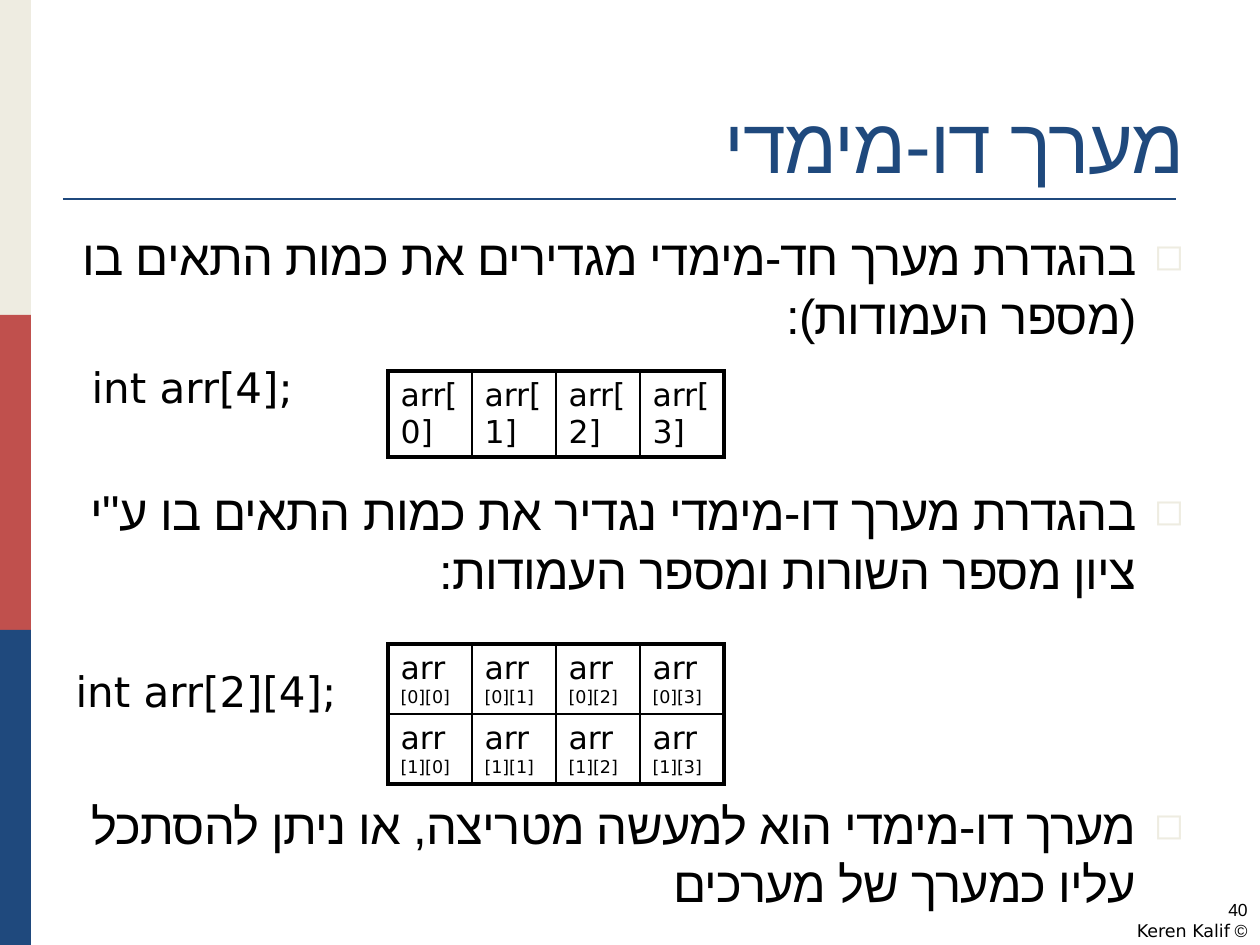
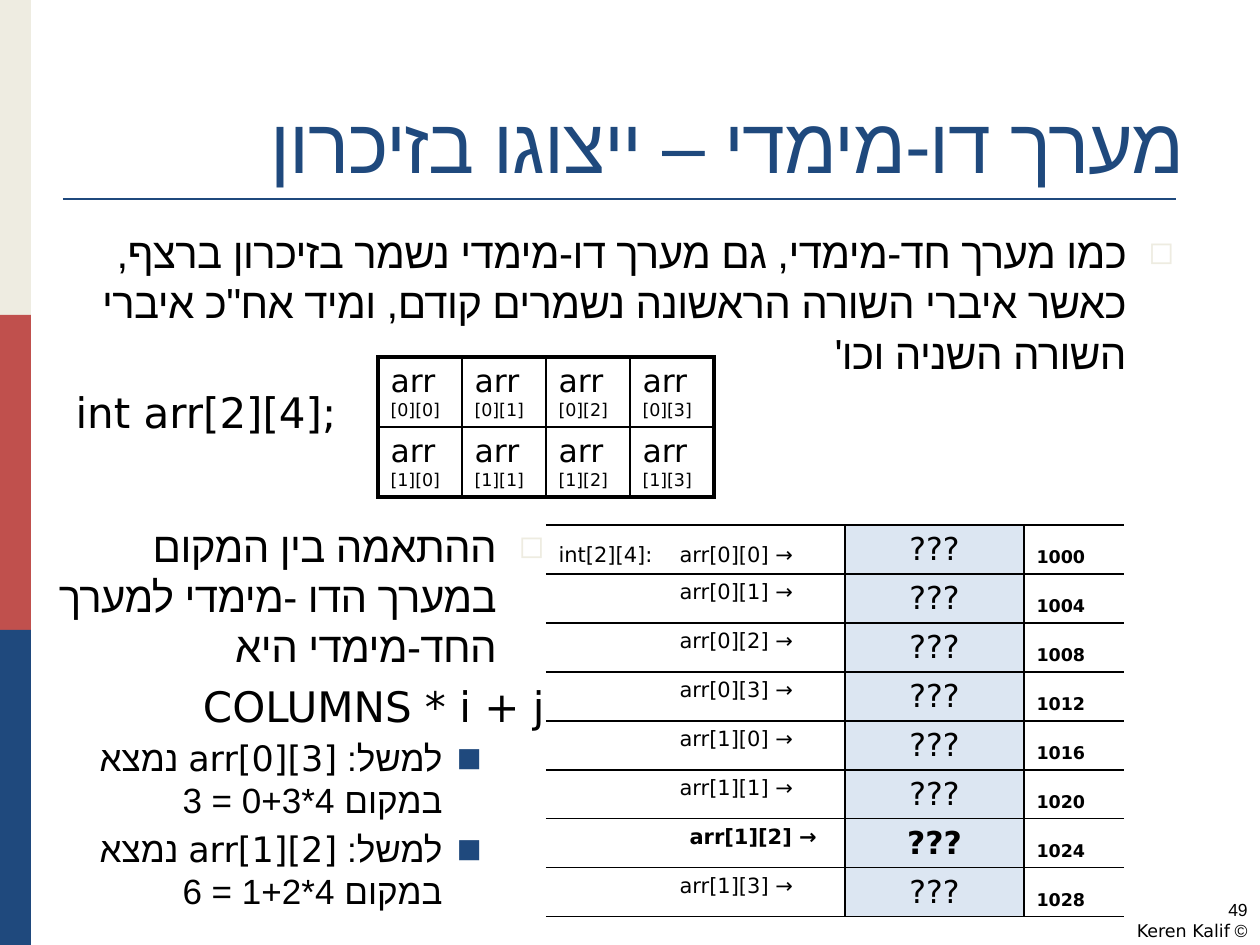
from lxml.etree import SubElement
from pptx import Presentation
from pptx.dml.color import RGBColor
from pptx.enum.shapes import MSO_CONNECTOR, MSO_SHAPE
from pptx.enum.text import MSO_ANCHOR, MSO_AUTO_SIZE, PP_ALIGN
from pptx.oxml.ns import qn
from pptx.util import Pt

PX = 914400 // 126
CREAM, RED, NAVY = "EEECE1", "C0504D", "1F497D"
BLACK, PALE_BLUE = "000000", "DCE6F2"
SANS, SERIF, HEBREW = "DejaVu Sans", "Times New Roman", "Arial"
THICK, THIN = 2.25, 1
hex_color = RGBColor.from_string


def write(paragraph, text, size, rtl=False, bullet=None, hang=None, before=None,
          color=BLACK, font=SANS, bold=False):
    properties = paragraph._p.get_or_add_pPr()
    if rtl:
        properties.set("rtl", "1")
        paragraph.alignment = PP_ALIGN.RIGHT
    if hang:
        margin, indent = hang
        properties.set("marL", str(margin * PX))
        properties.set("indent", str(indent * PX))
        if bullet:
            mark, mark_color = bullet
            SubElement(SubElement(properties, qn("a:buClr")), qn("a:srgbClr"), val=mark_color)
            SubElement(properties, qn("a:buSzPct"), val="75000")
            SubElement(properties, qn("a:buFont"), typeface=SANS)
            SubElement(properties, qn("a:buChar"), char=mark)
        else:
            SubElement(properties, qn("a:buNone"))
        paragraph.line_spacing = Pt(size * 1.2)
    if before:
        paragraph.space_before = Pt(before)
    run = paragraph.add_run()
    run.text = text
    paragraph.font.size = Pt(size)
    paragraph.font.bold = bold
    paragraph.font.name = font
    paragraph.font.color.rgb = hex_color(color)
    SubElement(properties.find(qn("a:defRPr")), qn("a:cs"), typeface=HEBREW)
    if rtl and size >= 24 and not text.isascii():
        run._r.get_or_add_rPr().set("spc", str(round(size * -1.5)))


def draw_borders(cell, left, right, top, bottom):
    cell_properties = cell._tc.get_or_add_tcPr()
    for position, (side, width) in enumerate(
            [("lnL", left), ("lnR", right), ("lnT", top), ("lnB", bottom)]):
        edge = cell_properties.makeelement(qn(f"a:{side}"), {"w": str(Pt(width))})
        if width:
            SubElement(SubElement(edge, qn("a:solidFill")), qn("a:srgbClr"), val=BLACK)
        else:
            SubElement(edge, qn("a:noFill"))
        cell_properties.insert(position, edge)


SQUARE, BLOCK = ("◻", CREAM), ("■", NAVY)
FIRST_LEVEL, SECOND_LEVEL, CODE_INSET = (48, -48), (102, -39), (64, -48)

lessons = [
    {
        "title": "מערך דו-מימדי",
        "number": "40",
        "body_width": 1134,
        "body": [
            ("בהגדרת מערך חד-מימדי מגדירים את כמות התאים בו (מספר העמודות):",
             28, True, SQUARE, FIRST_LEVEL, None),
            ("int arr[4];", 24, False, None, CODE_INSET, 10),
            ("בהגדרת מערך דו-מימדי נגדיר את כמות התאים בו ע\"י ציון מספר השורות ומספר העמודות:",
             28, True, SQUARE, FIRST_LEVEL, 40),
            ("int arr[2][4];", 24, False, None, FIRST_LEVEL, 38),
            ("מערך דו-מימדי הוא למעשה מטריצה, או ניתן להסתכל עליו כמערך של מערכים",
             28, True, SQUARE, FIRST_LEVEL, 45),
        ],
        "arrays": [(388, 371, 1, 86), (388, 644, 2, 70)],
    },
    {
        "title": "מערך דו-מימדי – ייצוגו בזיכרון",
        "number": "49",
        "body_width": 1124,
        "body": [
            ("כמו מערך חד-מימדי, גם מערך דו-מימדי נשמר בזיכרון ברצף, כאשר איברי השורה "
             "הראשונה נשמרים קודם, ומיד אח\"כ איברי השורה השניה וכו'",
             24, True, SQUARE, FIRST_LEVEL, None),
            ("int arr[2][4];", 24, False, None, FIRST_LEVEL, 5),
        ],
        "arrays": [(378, 357, 2, 70)],
    },
]

prs = Presentation()
prs.slide_width, prs.slide_height = 1260 * PX, 945 * PX
layout = prs.slide_layouts[1]

for lesson in lessons:
    slide = prs.slides.add_slide(layout)

    title = slide.shapes.title
    title.left, title.top, title.width, title.height = 63 * PX, 38 * PX, 1134 * PX, 157 * PX
    title.text_frame.auto_size = MSO_AUTO_SIZE.NONE
    title.text_frame.vertical_anchor = MSO_ANCHOR.BOTTOM
    write(title.text_frame.paragraphs[0], lesson["title"], 44, rtl=True, color=NAVY, font=SERIF)

    body = slide.placeholders[1]
    body.left, body.top = 63 * PX, 220 * PX
    body.width, body.height = lesson["body_width"] * PX, 624 * PX
    body.text_frame.auto_size = MSO_AUTO_SIZE.NONE
    for index, (text, size, rtl, bullet, hang, before) in enumerate(lesson["body"]):
        line = body.text_frame.add_paragraph() if index else body.text_frame.paragraphs[0]
        write(line, text, size, rtl, bullet, hang, before)

    for left, top, row_count, row_height in lesson["arrays"]:
        array = slide.shapes.add_table(row_count, 4, left * PX, top * PX,
                                       4 * 84 * PX, row_count * row_height * PX).table
        array.first_row = array.horz_banding = False
        for i in range(row_count):
            array.rows[i].height = row_height * PX
            for j in range(4):
                cell = array.cell(i, j)
                element = cell.text_frame.paragraphs[0]
                if row_count == 1:
                    write(element, f"arr[{j}]", 18)
                else:
                    write(element, "arr ", 18)
                    indices = element.add_run()
                    indices.text = f"[{i}][{j}]"
                    indices.font.size = Pt(10)
                cell.fill.background()
                draw_borders(cell,
                             THICK if j == 0 else THIN,
                             THICK if j == 3 else THIN,
                             THICK if i == 0 else THIN,
                             THICK if i == row_count - 1 else THIN)

    footer = slide.shapes.add_textbox(966 * PX, 893 * PX, 294 * PX, 52 * PX).text_frame
    footer.word_wrap = True
    write(footer.paragraphs[0], lesson["number"], 10, rtl=True)
    write(footer.add_paragraph(), "© Keren Kalif", 10, rtl=True)

mapping = slide.shapes.add_textbox(21 * PX, 514 * PX, 536 * PX, 368 * PX).text_frame
mapping.word_wrap = True
mapping_lines = [
    ("ההתאמה בין המקום במערך הדו -מימדי למערך החד-מימדי היא", 24, SQUARE, FIRST_LEVEL, None),
    ("COLUMNS * i + j", 24, None, FIRST_LEVEL, 5.5),
    ("למשל: arr[0][3] נמצא במקום 4*0+3 = 3", 20, BLOCK, SECOND_LEVEL, 3),
    ("למשל: arr[1][2] נמצא במקום 4*1+2 = 6", 20, BLOCK, SECOND_LEVEL, 4),
]
for index, (text, size, bullet, hang, before) in enumerate(mapping_lines):
    line = mapping.add_paragraph() if index else mapping.paragraphs[0]
    line.level = 1 if hang == SECOND_LEVEL else 0
    write(line, text, size, True, bullet, hang, before)

memory = slide.shapes.add_table(8, 3, 546 * PX, 525 * PX, 578 * PX, 8 * 49 * PX).table
memory.first_row = memory.horz_banding = False
for column, width in zip(memory.columns, (299, 179, 100)):
    column.width = width * PX
for index in range(8):
    i, j = divmod(index, 4)
    highlighted = (i, j) == (1, 2)
    memory.rows[index].height = 49 * PX
    name, value, address = (memory.cell(index, column) for column in range(3))

    name_line = name.text_frame.paragraphs[0]
    name_properties = name_line._p.get_or_add_pPr()
    label = f"arr[{i}][{j}] →"
    if index == 0:
        name.vertical_anchor = MSO_ANCHOR.BOTTOM
        SubElement(SubElement(name_properties, qn("a:tabLst")), qn("a:tab"),
                   pos=str(121 * PX), algn="l")
        label = f"int[2][4]:\t{label}"
    else:
        name_properties.set("marL", str((131 if highlighted else 121) * PX))
    write(name_line, label, 12, bold=highlighted)
    name.fill.background()
    draw_borders(name, 0, THIN, THIN, THIN)

    value_line = value.text_frame.paragraphs[0]
    value_line.alignment = PP_ALIGN.CENTER
    write(value_line, "???", 18, bold=highlighted)
    value.margin_bottom = 0
    value.fill.solid()
    value.fill.fore_color.rgb = hex_color(PALE_BLUE)
    draw_borders(value, THIN, THIN, THIN, THIN)

    address.vertical_anchor = MSO_ANCHOR.BOTTOM
    write(address.text_frame.paragraphs[0], str(1000 + 4 * index), 10, bold=True)
    address.fill.background()
    draw_borders(address, THIN, 0, THIN, THIN)

shared = []
for index, color in enumerate((CREAM, RED, NAVY)):
    band = slide.shapes.add_shape(MSO_SHAPE.RECTANGLE, 0, index * 315 * PX, 31 * PX, 315 * PX)
    band.shadow.inherit = False
    band.fill.solid()
    band.fill.fore_color.rgb = hex_color(color)
    band.line.fill.background()
    shared.append(band)
title_rule = slide.shapes.add_connector(MSO_CONNECTOR.STRAIGHT,
                                        63 * PX, 199 * PX, 1176 * PX, 199 * PX)
title_rule.line.color.rgb = hex_color(NAVY)
title_rule.line.width = Pt(1.5)
SubElement(title_rule._element.spPr, qn("a:effectLst"))
shared.append(title_rule)

for index, part in enumerate(shared):
    part._element.xpath(".//p:cNvPr")[0].set("id", str(20 + index))
    prs.slide_master.shapes._spTree.append(part._element)

prs.save("out.pptx")
